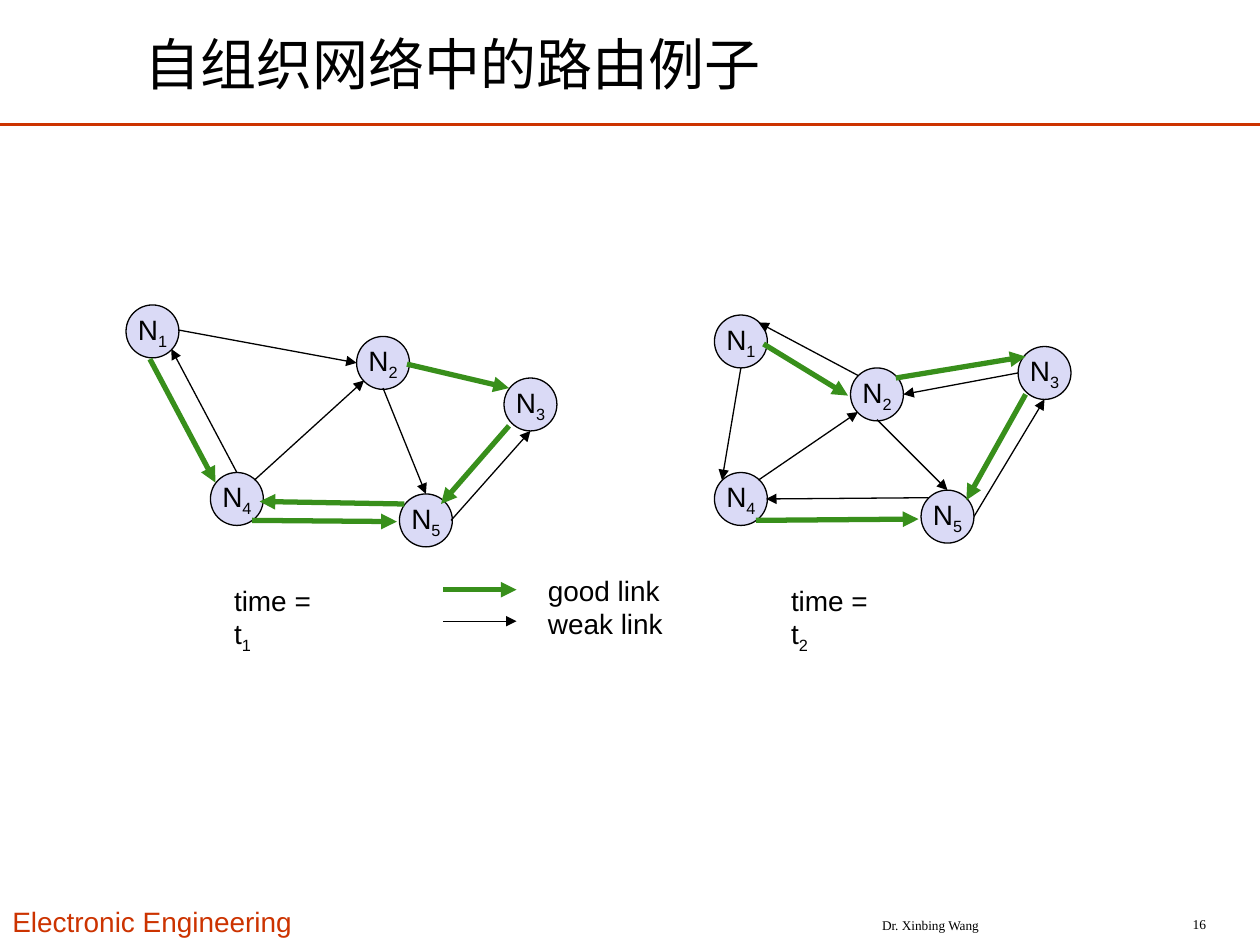
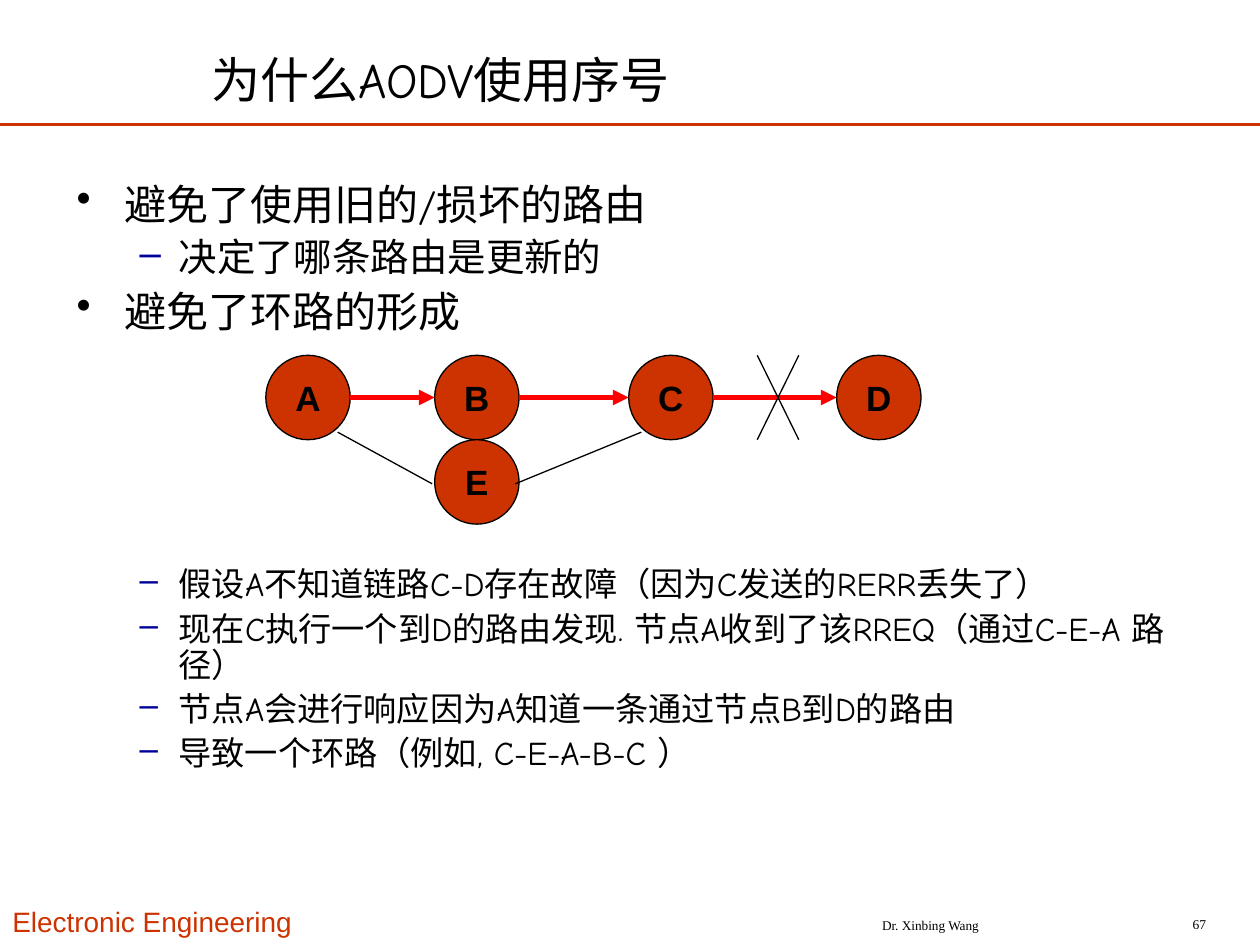
import pptx
import pptx.util
import pptx.dml.color
import pptx.enum.shapes
import pptx.enum.text
import pptx.oxml
import pptx.oxml.ns

Inches = pptx.util.Inches
Pt = pptx.util.Pt
RGBColor = pptx.dml.color.RGBColor
ALIGN = pptx.enum.text.PP_ALIGN
ANCHOR = pptx.enum.text.MSO_ANCHOR

BLACK = RGBColor(0x00, 0x00, 0x00)
BRAND = RGBColor(0xCC, 0x33, 0x00)
LILAC = RGBColor(0xDA, 0xDA, 0xF6)
GREEN = RGBColor(0x38, 0x8F, 0x1B)
RED = RGBColor(0xFF, 0x00, 0x00)
NAVY = RGBColor(0x00, 0x00, 0x99)

SANS, SERIF, HAND = "Arial", "Times New Roman", "Comic Neue"
NODE, HOP = 0.42, 0.67
HOP_TOP = 2.82

NODES_T1 = {"N_1": (1, 2.42), "N_4": (1.67, 3.75), "N_2": (2.83, 2.67),
            "N_5": (3.17, 3.92), "N_3": (4, 3)}
WEAK_T1 = [(1.42, 2.62, 2.83, 2.88), (2.02, 3.81, 2.89, 3.02),
           (1.88, 3.75, 1.36, 2.77), (3.58, 4.13, 4.21, 3.42),
           (3.04, 3.08, 3.38, 3.92)]
GOOD_T1 = [(3.21, 4, 2.06, 3.98), (2, 4.13, 3.15, 4.14),
           (1.19, 2.85, 1.71, 3.83), (3.23, 2.89, 4.04, 3.08),
           (4.04, 3.38, 3.5, 4)]
NODES_T2 = {"N_1": (5.67, 2.5), "N_4": (5.67, 3.75), "N_2": (6.75, 2.92),
            "N_5": (7.31, 3.89), "N_3": (8.08, 2.75)}
WEAK_T2 = [(6.02, 3.81, 6.81, 3.27), (7.37, 3.95, 6.08, 3.96),
           (5.88, 2.92, 5.73, 3.81), (7.73, 4.1, 8.29, 3.17),
           (6.96, 3.33, 7.52, 3.89), (6.81, 2.98, 6.02, 2.56),
           (8.08, 2.96, 7.17, 3.13)]
GOOD_T2 = [(6.06, 2.73, 6.73, 3.14), (6, 4.13, 7.29, 4.12),
           (7.11, 3, 8.14, 2.83), (8.14, 3.13, 7.67, 3.97)]

REASONS = [(0, "避免了使用旧的/损坏的路由", 24, 0),
           (1, "决定了哪条路由是更新的", 22, 5.5),
           (0, "避免了环路的形成", 24, 6)]
LOOP_STEPS = ["假设A不知道链路C-D存在故障（因为C发送的RERR丢失了）",
              "现在C执行一个到D的路由发现. 节点A收到了该RREQ（通过C-E-A 路径）",
              "节点A会进行响应因为A知道一条通过节点B到D的路由",
              "导致一个环路（例如, C-E-A-B-C ）"]
BULLETS = [("•", BLACK, 0.38, -0.38), ("–", NAVY, 0.81, -0.31)]


def add_xml(parent, tag, **attrs):
    """Append a DrawingML element to parent and return it."""
    child = pptx.oxml.parse_xml(f"<a:{tag} {pptx.oxml.ns.nsdecls('a')}/>")
    for name, value in attrs.items():
        child.set(name, str(value))
    parent.append(child)
    return child


def write_text(p, text, size=16, font=SANS, color=BLACK, bold=False, align=ALIGN.LEFT):
    """Fill a paragraph; what follows an underscore becomes a subscript."""
    p.alignment = align
    base, _, subscript = text.partition("_")
    for part, offset in ((base, 0), (subscript, -25000)):
        if part:
            r = p.add_run()
            r.text = part
            r.font.size, r.font.name, r.font.bold = Pt(size), font, bold
            r.font.color.rgb = color
            if offset:
                r.font._element.set("baseline", str(offset))


def add_text(slide, box, lines=(), anchor=ANCHOR.TOP, wrap=True, **fmt):
    """Add a text box with one paragraph per line and return its frame."""
    tf = slide.shapes.add_textbox(*map(Inches, box)).text_frame
    tf.word_wrap, tf.vertical_anchor = wrap, anchor
    for i, line in enumerate(lines):
        write_text(tf.add_paragraph() if i else tf.paragraphs[0], line, **fmt)
    return tf


def add_bullets(slide, box, items):
    """Add a bulleted list of (level, text, size, space before)."""
    tf = add_text(slide, box)
    for i, (level, text, size, before) in enumerate(items):
        char, color, margin, indent = BULLETS[level]
        p = tf.add_paragraph() if i else tf.paragraphs[0]
        p.level, p.line_spacing, p.space_before = level, 0.9, Pt(before)
        pPr = p._p.get_or_add_pPr()
        pPr.set("marL", str(Inches(margin)))
        pPr.set("indent", str(Inches(indent)))
        add_xml(add_xml(pPr, "buClr"), "srgbClr", val=color)
        add_xml(pPr, "buChar", char=char)
        write_text(p, text, size=size, font=HAND)


def add_circle(slide, left, top, diameter, label, fill, **fmt):
    """Add a labelled, outlined circle."""
    sp = slide.shapes.add_shape(pptx.enum.shapes.MSO_SHAPE.OVAL,
                                *map(Inches, (left, top, diameter, diameter)))
    sp.shadow.inherit = False
    sp.fill.solid()
    sp.fill.fore_color.rgb = fill
    sp.line.color.rgb, sp.line.width = BLACK, Pt(0.75)
    tf = sp.text_frame
    tf.word_wrap, tf.vertical_anchor = False, ANCHOR.MIDDLE
    write_text(tf.paragraphs[0], label, align=ALIGN.CENTER, **fmt)


def add_line(slide, ends, color=BLACK, width=0.75, arrow=False):
    """Add a straight line from (x1, y1) to (x2, y2)."""
    line = slide.shapes.add_connector(pptx.enum.shapes.MSO_CONNECTOR.STRAIGHT,
                                      *map(Inches, ends))
    line.line.color.rgb, line.line.width = color, Pt(width)
    if arrow:
        add_xml(line.line._get_or_add_ln(), "tailEnd", type="triangle")
    add_xml(line._element.spPr, "effectLst")


def add_good_link(slide, ends):
    """Add a thick green arrow."""
    add_line(slide, ends, GREEN, 3, arrow=True)


def add_weak_link(slide, ends):
    """Add a thin black arrow."""
    add_line(slide, ends, arrow=True)


def add_network(slide, nodes, weak, good, time, time_left):
    """Draw one state of the network with its time label."""
    for label, (left, top) in nodes.items():
        add_circle(slide, left, top, NODE, label, LILAC)
    for ends in weak:
        add_weak_link(slide, ends)
    for ends in good:
        add_good_link(slide, ends)
    add_text(slide, (time_left, 4.58, 1, 0.41), [time], wrap=False)


def add_slide(prs, number, title, title_box, **title_fmt):
    """Add a slide with the shared rule, footer and title."""
    slide = prs.slides.add_slide(prs.slide_layouts[6])
    add_line(slide, (0, 0.99, 10, 0.99), BRAND, 1.5)
    add_text(slide, (0, 7.13, 2.55, 0.37), ["Electronic Engineering"], color=BRAND)
    add_text(slide, (6.17, 7.22, 2.43, 0.25), ["Dr. Xinbing Wang"], ANCHOR.MIDDLE,
             size=7.6, font=SERIF, align=ALIGN.CENTER)
    add_text(slide, (8.84, 7.21, 0.83, 0.25), [number], ANCHOR.MIDDLE,
             size=7.7, font=SERIF, align=ALIGN.RIGHT)
    add_text(slide, title_box, [title], ANCHOR.MIDDLE, **title_fmt)
    return slide


def build_routing_example(prs):
    """Build the slide with the network at two times."""
    slide = add_slide(prs, "16", "自组织网络中的路由例子", (1.05, 0.2, 8, 0.6),
                      size=32, font=SERIF)
    add_network(slide, NODES_T1, WEAK_T1, GOOD_T1, "time = t_1", 1.76)
    add_network(slide, NODES_T2, WEAK_T2, GOOD_T2, "time = t_2", 6.18)
    add_good_link(slide, (3.52, 4.68, 4.1, 4.68))
    add_weak_link(slide, (3.52, 4.93, 4.1, 4.93))
    add_text(slide, (4.25, 4.5, 1.11, 0.64), ["good link", "weak link"], wrap=False)


def build_sequence_numbers(prs):
    """Build the slide on sequence numbers with the broken route."""
    slide = add_slide(prs, "67", "为什么AODV使用序号", (1.58, 0, 8.4, 1.25),
                      size=28, font=HAND)
    add_bullets(slide, (0.51, 1.41, 9, 1.4), REASONS)
    add_bullets(slide, (0.51, 4.46, 9, 2),
                [(1, step, 19, 4.8 if i else 0) for i, step in enumerate(LOOP_STEPS)])

    hops = {"A": 2.11, "B": 3.45, "C": 4.99, "D": 6.64}
    places = [(label, left, HOP_TOP) for label, left in hops.items()]
    for label, left, top in places + [("E", hops["B"], HOP_TOP + HOP)]:
        add_circle(slide, left, top, HOP, label, BRAND, size=20, bold=True)
    lefts = list(hops.values())
    middle = HOP_TOP + HOP / 2
    for left, next_left in zip(lefts, lefts[1:]):
        add_line(slide, (left + HOP, middle, next_left, middle), RED, 3, arrow=True)
    for start, end in ((6.01, 6.34), (6.34, 6.01)):
        add_line(slide, (start, HOP_TOP, end, HOP_TOP + HOP))
    add_line(slide, (2.68, 3.43, 3.43, 3.84))
    add_line(slide, (4.09, 3.84, 5.09, 3.43))


def main():
    """Build and save the deck."""
    prs = pptx.Presentation()
    prs.slide_width, prs.slide_height = Inches(10), Inches(7.5)
    build_routing_example(prs)
    build_sequence_numbers(prs)
    prs.save("out.pptx")


if __name__ == "__main__":
    main()
